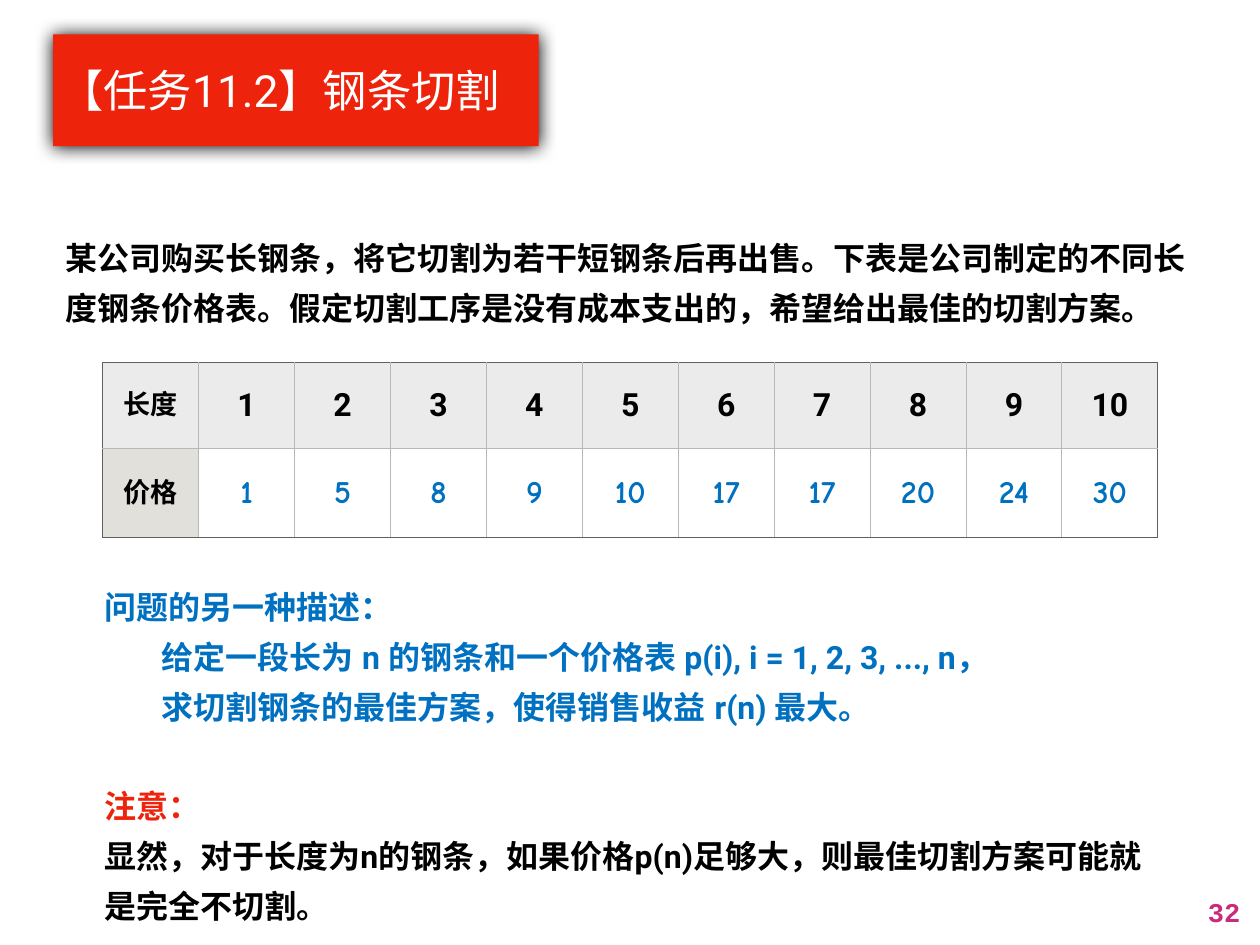
from lxml import etree
from pptx import Presentation
from pptx.dml.color import RGBColor
from pptx.enum.shapes import MSO_SHAPE
from pptx.enum.text import MSO_ANCHOR, PP_ALIGN
from pptx.oxml.ns import qn
from pptx.util import Pt

MIDDLE = MSO_ANCHOR.MIDDLE
TOP = MSO_ANCHOR.TOP
LEFT = PP_ALIGN.LEFT
CENTER = PP_ALIGN.CENTER
RIGHT = PP_ALIGN.RIGHT
RECTANGLE = MSO_SHAPE.RECTANGLE

BLACK, WHITE, RED, BLUE, PINK = "000000", "FFFFFF", "EE230C", "0070C0", "CB2A7A"
HEADER_FILL, LABEL_FILL = "EBEBEB", "E1E0DA"
OUTER_LINE, INNER_LINE = "606060", "B8B8B8"
BODY_SIZE = 26
BODY_SPACING = 1.3
BLANK_LINE = 40.6

LENGTHS = ["长度", *range(1, 11)]
PRICES = ["价格", 1, 5, 8, 9, 10, 17, 17, 20, 24, 30]


def color(hex_string):
    return RGBColor.from_string(hex_string)


def add_span(para, text, size, hex_string, bold=True, font="Roboto"):
    span = para.add_run()
    span.text = str(text)
    span.font.size = Pt(size)
    span.font.bold = bold
    span.font.name = font
    span.font.color.rgb = color(hex_string)
    properties = span.font._element
    properties.set("lang", "zh-CN")
    etree.SubElement(properties, qn("a:ea"), typeface=font)


def prepare_frame(frame, inset, anchor=MIDDLE, wrap=True):
    frame.word_wrap = wrap
    frame.vertical_anchor = anchor
    frame.margin_left = frame.margin_right = Pt(inset)
    frame.margin_top = frame.margin_bottom = Pt(inset)


def add_body(page, box, lines):
    """Place paragraphs given as (text, colour, indent, space before)."""
    frame = page.shapes.add_textbox(*map(Pt, box)).text_frame
    prepare_frame(frame, 4)
    for number, (text, hex_string, indent, before) in enumerate(lines):
        para = frame.add_paragraph() if number else frame.paragraphs[0]
        para.line_spacing = BODY_SPACING
        if indent:
            properties = para._p.get_or_add_pPr()
            properties.set("marL", str(Pt(indent)))
            properties.set("indent", "0")
        if before:
            para.space_before = Pt(before)
        add_span(para, text, BODY_SIZE, hex_string)


def add_title(page, box):
    banner = page.shapes.add_shape(RECTANGLE, *map(Pt, box))
    banner.shadow.inherit = False
    banner.fill.solid()
    banner.fill.fore_color.rgb = color(RED)
    banner.line.fill.background()
    effects = banner._element.spPr.find(qn("a:effectLst"))
    shadow = etree.SubElement(effects, qn("a:outerShdw"), blurRad=str(Pt(15)),
                              dist=str(Pt(0.7)), dir="5400000", rotWithShape="0")
    etree.SubElement(shadow, qn("a:srgbClr"), val=BLACK)
    prepare_frame(banner.text_frame, 5)
    para = banner.text_frame.paragraphs[0]
    para.alignment = LEFT
    add_span(para, "【任务11.2】钢条切割", 36, WHITE, bold=False)


def set_borders(cell, outer_sides):
    properties = cell._tc.get_or_add_tcPr()
    for side in "LRTB":
        line = etree.SubElement(properties, qn(f"a:ln{side}"), w=str(Pt(1)))
        fill = etree.SubElement(line, qn("a:solidFill"))
        shade = OUTER_LINE if side in outer_sides else INNER_LINE
        etree.SubElement(fill, qn("a:srgbClr"), val=shade)


def add_price_table(page, box, row_heights):
    rows = [LENGTHS, PRICES]
    last = len(LENGTHS) - 1
    frame = page.shapes.add_table(len(rows), len(LENGTHS), *map(Pt, box))
    table = frame.table
    table.first_row = table.horz_banding = False
    for column in table.columns:
        column.width = Pt(box[2] / len(LENGTHS))
    for r, (values, height) in enumerate(zip(rows, row_heights)):
        table.rows[r].height = Pt(height)
        for c, value in enumerate(values):
            cell = table.cell(r, c)
            set_borders(cell, "TB"[r] + {0: "L", last: "R"}.get(c, ""))
            if r and c:
                cell.fill.background()
            else:
                cell.fill.solid()
                cell.fill.fore_color.rgb = color(LABEL_FILL if r else HEADER_FILL)
            cell.vertical_anchor = MIDDLE
            cell.margin_left = cell.margin_right = Pt(4)
            cell.margin_top = cell.margin_bottom = Pt(4)
            para = cell.text_frame.paragraphs[0]
            para.alignment = CENTER
            if r and c:
                add_span(para, value, BODY_SIZE, BLUE, font="Comic Neue")
            else:
                add_span(para, value, BODY_SIZE if c else 22, BLACK)


def add_page_number(page, box):
    frame = page.shapes.add_textbox(*map(Pt, box)).text_frame
    prepare_frame(frame, 5, TOP, wrap=False)
    para = frame.paragraphs[0]
    para.alignment = RIGHT
    add_span(para, "32", 22, PINK, font="Courier New")


def main():
    deck = Presentation()
    deck.slide_width, deck.slide_height = Pt(1024), Pt(768)
    page = deck.slides.add_slide(deck.slide_layouts[6])
    add_page_number(page, (975.6, 723, 37.4, 36))
    add_title(page, (43.2, 28, 394.6, 90.7))
    add_body(page, (49, 182.2, 926.6, 85.7), [
        ("某公司购买长钢条，将它切割为若干短钢条后再出售。下表是公司制定的不同长度钢条价格表。"
         "假定切割工序是没有成本支出的，希望给出最佳的切割方案。", BLACK, 0, 0),
    ])
    add_price_table(page, (83.5, 294.5, 857.5, 142.7), (70, 72.7))
    add_body(page, (80.6, 464.4, 875.5, 290.9), [
        ("问题的另一种描述：", BLUE, 0, 0),
        ("给定一段长为 n 的钢条和一个价格表 p(i), i = 1, 2, 3, ..., n，", BLUE, 47, 0),
        ("求切割钢条的最佳方案，使得销售收益 r(n) 最大。", BLUE, 47, 0),
        ("注意：", RED, 0, BLANK_LINE),
        ("显然，对于长度为n的钢条，如果价格p(n)足够大，则最佳切割方案可能就是完全不切割。",
         BLACK, 0, 0),
    ])
    deck.save("out.pptx")


if __name__ == "__main__":
    main()
